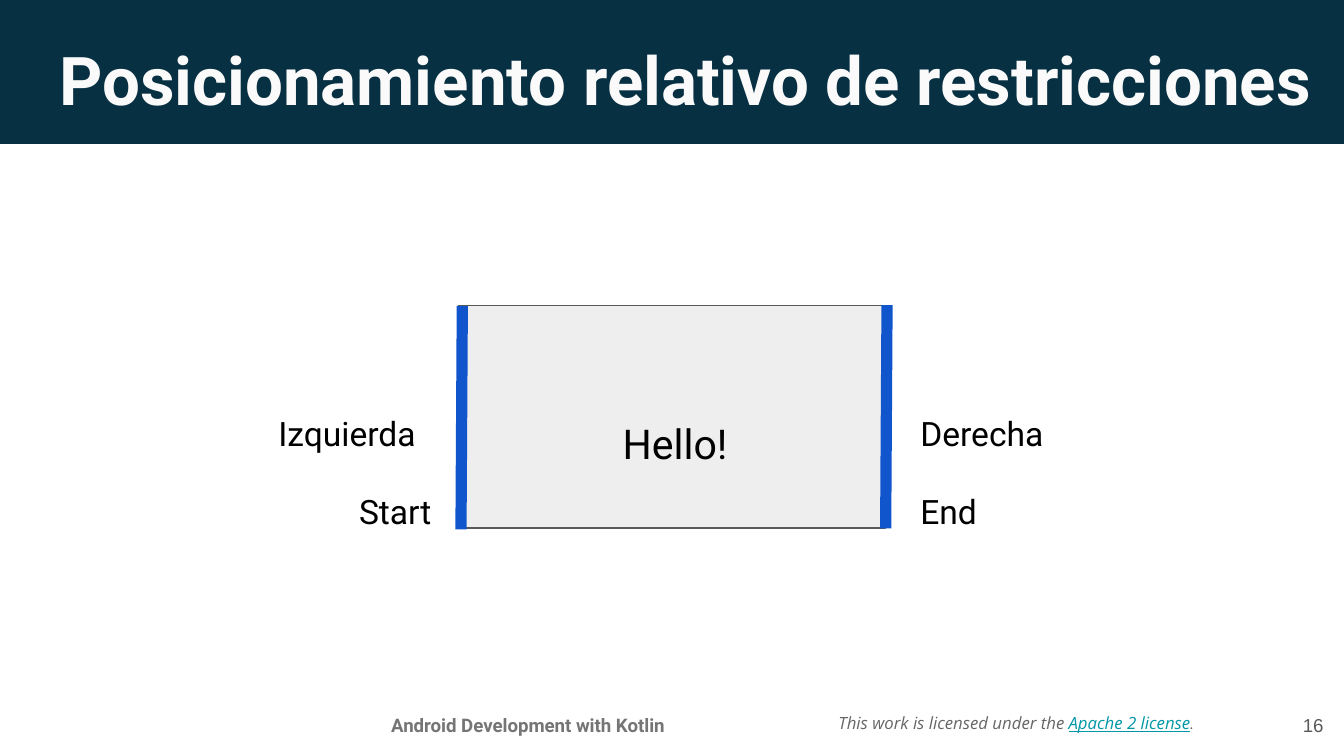
from lxml.etree import SubElement
from pptx import Presentation
from pptx.dml.color import RGBColor
from pptx.enum.shapes import MSO_CONNECTOR, MSO_SHAPE
from pptx.enum.text import MSO_ANCHOR, MSO_AUTO_SIZE, PP_ALIGN
from pptx.oxml.ns import qn
from pptx.util import Inches, Pt

WIDTH = Inches(10)
HEIGHT = WIDTH * 9 // 16

NAVY = RGBColor(0x07, 0x30, 0x42)
OFF_WHITE = RGBColor(0xFA, 0xFA, 0xFA)
PALE_GRAY = RGBColor(0xEE, 0xEE, 0xEE)
DARK_GRAY = RGBColor(0x59, 0x59, 0x59)
LICENSE_GRAY = RGBColor(0x66, 0x66, 0x66)
FOOTER_GRAY = RGBColor(0x75, 0x75, 0x75)
TEAL = RGBColor(0x00, 0x97, 0xA7)
BLUE = RGBColor(0x11, 0x55, 0xCC)
BLACK = RGBColor(0, 0, 0)


def across(percent):
    return round(WIDTH * percent / 100)


def down(percent):
    return round(HEIGHT * percent / 100)


def place(left, top, width, height):
    return across(left), down(top), across(width), down(height)


def style_run(r, size, color, font="Roboto", bold=False, italic=False):
    r.font.name = font
    r.font.size = Pt(size)
    r.font.color.rgb = color
    r.font.bold = bold
    r.font.italic = italic


def set_frame(tf, anchor):
    tf.word_wrap = True
    tf.auto_size = MSO_AUTO_SIZE.NONE
    tf.vertical_anchor = anchor
    tf.margin_left = tf.margin_right = Inches(0.1)
    tf.margin_top = tf.margin_bottom = Inches(0.1)


def add_title(s, text, box):
    sp = s.shapes.title
    sp.left, sp.top, sp.width, sp.height = place(*box)
    tf = sp.text_frame
    set_frame(tf, MSO_ANCHOR.TOP)
    tf.text = text
    p = tf.paragraphs[0]
    p.alignment = PP_ALIGN.LEFT
    style_run(p.runs[0], 36, OFF_WHITE, bold=True)
    sp.element.getparent().append(sp.element)


def add_text(s, text, box, size=18, color=BLACK, align=PP_ALIGN.LEFT,
             anchor=MSO_ANCHOR.MIDDLE, font="Roboto", bold=False):
    tf = s.shapes.add_textbox(*place(*box)).text_frame
    set_frame(tf, anchor)
    tf.text = text
    p = tf.paragraphs[0]
    p.alignment = align
    style_run(p.runs[0], size, color, font, bold)


def add_license(s, box):
    tf = s.shapes.add_textbox(*place(*box)).text_frame
    set_frame(tf, MSO_ANCHOR.MIDDLE)
    p = tf.paragraphs[0]
    parts = [
        ("This work is licensed under the ", LICENSE_GRAY, "Open Sans", False),
        ("Apache 2 license", TEAL, "Open Sans", True),
        (".", LICENSE_GRAY, "Roboto", False),
    ]
    for text, color, font, underline in parts:
        r = p.add_run()
        r.text = text
        style_run(r, 9, color, font, italic=True)
        r.font.underline = underline


def add_rect(s, box, fill, line=None):
    sp = s.shapes.add_shape(MSO_SHAPE.RECTANGLE, *place(*box))
    sp.shadow.inherit = False
    sp.fill.solid()
    sp.fill.fore_color.rgb = fill
    if line is None:
        sp.line.fill.background()
    else:
        sp.line.color.rgb = line
        sp.line.width = Pt(0.75)


def add_edge(s, x1, y1, x2, y2):
    edge = s.shapes.add_connector(MSO_CONNECTOR.STRAIGHT, across(x1), down(y1),
                                  across(x2), down(y2))
    edge.line.color.rgb = BLUE
    edge.line.width = Pt(6)
    SubElement(edge.element.spPr, qn("a:effectLst"))


def main():
    prs = Presentation()
    prs.slide_width = WIDTH
    prs.slide_height = HEIGHT
    s = prs.slides.add_slide(prs.slide_layouts[5])

    add_license(s, (61.4, 91.45, 29.4, 8.36))
    add_rect(s, (-0.1, -0.71, 100.1, 19.75), NAVY)
    add_text(s, "Android Development with Kotlin", (25.13, 92.62, 28.3, 5.69), 10,
             FOOTER_GRAY, PP_ALIGN.CENTER, MSO_ANCHOR.TOP, bold=True)
    add_rect(s, (34.1, 40.42, 31.8, 29.45), PALE_GRAY, DARK_GRAY)
    add_title(s, "Posicionamiento relativo de restricciones", (3.4, 3.32, 95.6, 11.2))
    add_text(s, "16", (93.47, 92.09, 6, 7.64), 10, DARK_GRAY, PP_ALIGN.RIGHT, font="Arial")

    labels = [
        ("Start", (25.73, 64.95, 9.2, 5.33)),
        ("Izquierda", (19.73, 54.64, 13.7, 5.33)),
        ("Derecha", (67.5, 52.8, 14.3, 9.07)),
        ("End", (67.5, 63.11, 14.3, 9.07)),
    ]
    for text, box in labels:
        add_text(s, text, box)
    add_text(s, "Hello!", (34.33, 49.78, 31.8, 13.87), 22,
             align=PP_ALIGN.CENTER, anchor=MSO_ANCHOR.BOTTOM)

    add_edge(s, 34.3, 70.04, 34.4, 40.48)
    add_edge(s, 65.9, 69.9, 66, 40.36)

    prs.save("out.pptx")


if __name__ == "__main__":
    main()
